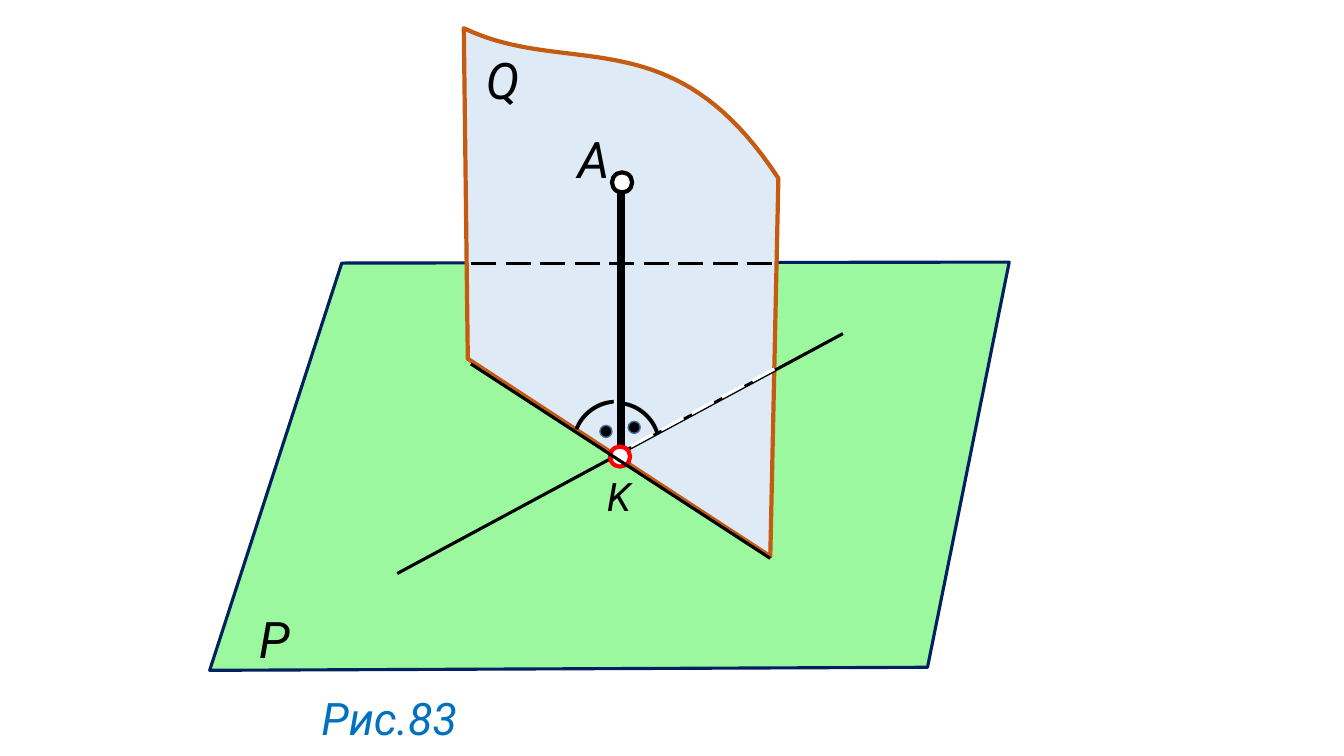
"""Builds the slide with figure 83: a line AK perpendicular to plane P."""
import pptx
import pptx.dml.color
import pptx.enum.dml
import pptx.enum.shapes
import pptx.enum.text
import pptx.oxml
import pptx.util
from pptx.util import Inches, Pt

SLIDE_SIZE = (13.33, 7.5)
BLACK, WHITE, RED, BLUE = "000000", "FFFFFF", "FF0000", "0070C0"
DOT_EDGE = "43739E"
TOP_EDGE = [(4.6, 0.28), (5.64, 0.78), (6.67, 0.16), (7.72, 1.77)]
CURVE_STEPS = 40

PLANE_P = ([(3.39, 2.61), (10.01, 2.6), (9.2, 6.62), (2.08, 6.65)], "9CF89E", "002060", 2.25)
PLANE_Q_SIDES = [(7.64, 5.52), (4.64, 3.56)]

LABEL_P = ("P", (2.47, 5.98, 0.48, 0.71), 36, BLACK)
LABEL_A = ("A", (5.63, 1.22, 0.48, 0.71), 36, BLACK)
LABEL_Q = ("Q", (4.72, 0.44, 0.48, 0.71), 36, BLACK)
LABEL_K = ("K", (5.92, 4.64, 0.65, 0.57), 28, BLACK)
CAPTION = ("Рис.83", (3.09, 6.8, 1.69, 0.64), 32, BLUE)

PERPENDICULAR = ((6.16, 1.77), (6.16, 4.53), BLACK, 6)
SLANTED_LINE = ((8.36, 3.31), (3.94, 5.69), BLACK, 2.25)
HIDDEN_PART = ((7.68, 3.66), (6.14, 4.49), WHITE, 2.25, True)
HIDDEN_EDGE = ((7.66, 2.61), (4.6, 2.61), BLACK, 2.25, True)
INTERSECTION = ((7.64, 5.54), (4.67, 3.61), BLACK, 2.25)

RIGHT_ANGLES = [
    ((6.23, 4.18), (6.24, 3.78), 131.1),
    ((5.95, 4.22), (5.74, 3.68), 53.5),
]
POINT_A = ((6.07, 1.71), 0.2, WHITE, BLACK, 3)
POINT_K = ((6.05, 4.43), 0.2, WHITE, RED, 3)


def color(value):
    return pptx.dml.color.RGBColor.from_string(value)


def paint(shape, fill, edge, width):
    shape.shadow.inherit = False
    shape.fill.solid()
    shape.fill.fore_color.rgb = color(fill)
    shape.line.color.rgb = color(edge)
    shape.line.width = Pt(width)


def add_plane(shapes, points, fill, edge, width):
    corners = [(Inches(x), Inches(y)) for x, y in points]
    builder = shapes.build_freeform(*corners[0], scale=1.0)
    builder.add_line_segments(corners[1:], close=True)
    paint(builder.convert_to_shape(), fill, edge, width)


def curve_points(controls):
    points = []
    for step in range(CURVE_STEPS + 1):
        t = step / CURVE_STEPS
        weights = ((1 - t) ** 3, 3 * t * (1 - t) ** 2, 3 * t * t * (1 - t), t ** 3)
        points.append(tuple(sum(w * c[axis] for w, c in zip(weights, controls)) for axis in (0, 1)))
    return points


def add_line(shapes, start, end, edge, width, dashed=False):
    connector = shapes.add_connector(
        pptx.enum.shapes.MSO_CONNECTOR.STRAIGHT, *(Inches(v) for v in start + end))
    connector.line.color.rgb = color(edge)
    connector.line.width = Pt(width)
    if dashed:
        connector.line.dash_style = pptx.enum.dml.MSO_LINE.LONG_DASH
    properties = connector._element.spPr
    properties.append(pptx.oxml.parse_xml(
        '<a:effectLst xmlns:a="http://schemas.openxmlformats.org/drawingml/2006/main"/>'))


def add_point(shapes, corner, size, fill, edge, width):
    shape = shapes.add_shape(
        pptx.enum.shapes.MSO_SHAPE.OVAL, *(Inches(v) for v in corner + (size, size)))
    paint(shape, fill, edge, width)


def add_text(shapes, text, box, size, text_color, font="Roboto", italic=True, wrap=True, rotation=0):
    shape = shapes.add_textbox(*(Inches(v) for v in box))
    shape.rotation = rotation
    frame = shape.text_frame
    frame.text = text
    frame.word_wrap = wrap
    frame.auto_size = pptx.enum.text.MSO_AUTO_SIZE.SHAPE_TO_FIT_TEXT
    run_font = frame.paragraphs[0].runs[0].font
    run_font.name = font
    run_font.size = Pt(size)
    run_font.italic = italic
    run_font.color.rgb = color(text_color)


def main():
    presentation = pptx.Presentation()
    presentation.slide_width, presentation.slide_height = (Inches(v) for v in SLIDE_SIZE)
    slide = presentation.slides.add_slide(presentation.slide_layouts[6])
    shapes = slide.shapes

    add_plane(shapes, *PLANE_P)
    add_plane(shapes, curve_points(TOP_EDGE) + PLANE_Q_SIDES, "DEEBF7", "C55A11", 3)
    add_text(shapes, *LABEL_P)
    add_line(shapes, *PERPENDICULAR)
    add_line(shapes, *SLANTED_LINE)
    for dot, arc, rotation in RIGHT_ANGLES:
        add_point(shapes, dot, 0.12, BLACK, DOT_EDGE, 1)
        add_text(shapes, "(", arc + (0.37, 0.77), 40, BLACK, "Calibri", False, False, rotation)
    add_text(shapes, *LABEL_A)
    add_point(shapes, *POINT_A)
    add_text(shapes, *CAPTION)
    add_text(shapes, *LABEL_K)
    add_line(shapes, *HIDDEN_PART)
    add_text(shapes, *LABEL_Q)
    add_point(shapes, *POINT_K)
    add_line(shapes, *HIDDEN_EDGE)
    add_line(shapes, *INTERSECTION)
    presentation.save("out.pptx")


if __name__ == "__main__":
    main()
